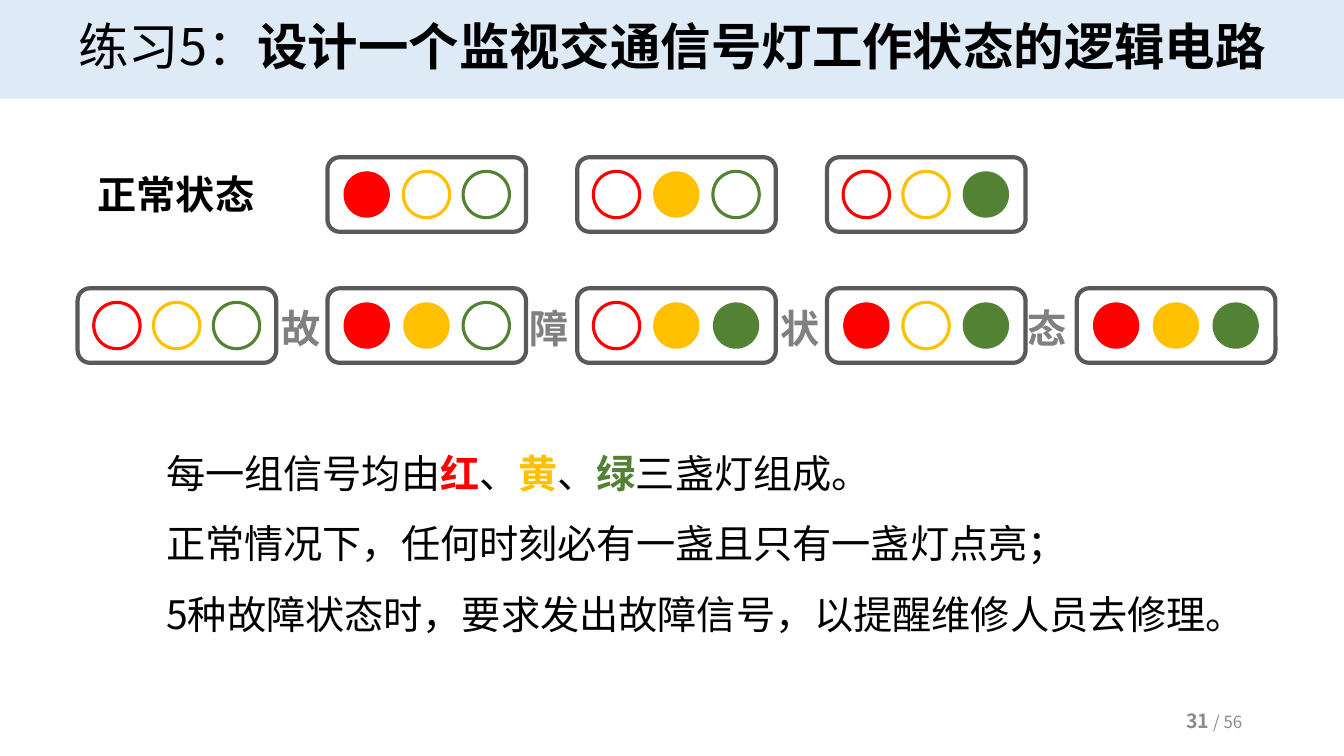
from lxml.etree import SubElement
from pptx import Presentation
from pptx.dml.color import RGBColor
from pptx.enum.shapes import MSO_SHAPE
from pptx.enum.text import MSO_ANCHOR, MSO_AUTO_SIZE, PP_ALIGN
from pptx.oxml.ns import qn
from pptx.util import Inches, Pt

FONT = "Noto Sans CJK SC"
RED, YELLOW, GREEN = LAMPS = ("FF0000", "FFC000", "548235")
BLACK, GRAY, FRAME = "000000", "808080", "595959"
COLUMN_LEFT, COLUMN_STEP = 0.77, 2.4775
NORMAL_TOP, FAULT_TOP = 1.56, 2.86
NORMAL_STATES = ["100", "010", "001"]
FAULT_STATES = ["000", "110", "011", "101", "111"]


def rgb(hex_color):
    """Turn a hex string into a colour."""
    return RGBColor.from_string(hex_color)


def add_shape(shapes, kind, box, fill=None, line=None, width=0):
    """Add a preset shape with a plain fill and outline."""
    sp = shapes.add_shape(kind, *map(Inches, box))
    sp.shadow.inherit = False
    if fill:
        sp.fill.solid()
        sp.fill.fore_color.rgb = rgb(fill)
    else:
        sp.fill.background()
    if line:
        sp.line.color.rgb = rgb(line)
        sp.line.width = Pt(width)
    else:
        sp.line.fill.background()
    return sp


def add_run(p, text, size=28, color=BLACK, bold=False):
    """Add a run in the slide font for Latin and Chinese text."""
    r = p.add_run()
    r.text = text
    r.font.name = FONT
    r.font.size = Pt(size)
    r.font.bold = bold
    r.font.color.rgb = rgb(color)
    SubElement(r.font._element, qn("a:ea"), typeface=FONT)


def fill_text(tf, paragraphs, align=PP_ALIGN.LEFT, spacing=1.0,
              anchor=MSO_ANCHOR.TOP, wrap=True):
    """Write paragraphs given as lists of (text, format) runs."""
    tf.word_wrap = wrap
    tf.vertical_anchor = anchor
    tf.auto_size = MSO_AUTO_SIZE.NONE
    for i, runs in enumerate(paragraphs):
        p = tf.add_paragraph() if i else tf.paragraphs[0]
        p.alignment = align
        p.line_spacing = spacing
        for text, style in runs:
            add_run(p, text, **style)


def add_text(s, box, paragraphs, **layout):
    """Add a text box."""
    sp = s.shapes.add_textbox(*map(Inches, box))
    fill_text(sp.text_frame, paragraphs, **layout)


def add_signal(s, column, top, state):
    """Add a group of three lamps, lit where the state has a 1."""
    left = COLUMN_LEFT + column * COLUMN_STEP
    grp = s.shapes.add_group_shape()
    add_shape(grp.shapes, MSO_SHAPE.ROUNDED_RECTANGLE,
              (left, top, 1.97, 0.74), line=FRAME, width=3)
    for i, (color, lit) in enumerate(zip(LAMPS, state)):
        box = (left + 0.16 + i * 0.593, top + 0.14, 0.46, 0.46)
        if lit == "1":
            add_shape(grp.shapes, MSO_SHAPE.OVAL, box, fill=color)
        else:
            add_shape(grp.shapes, MSO_SHAPE.OVAL, box, "FFFFFF", color, 2.25)


def main():
    """Build the traffic light exercise slide."""
    prs = Presentation()
    prs.slide_width, prs.slide_height = Inches(13.33), Inches(7.5)
    s = prs.slides.add_slide(prs.slide_layouts[6])

    title = add_shape(s.shapes, MSO_SHAPE.RECTANGLE, (0, 0, 13.33, 0.98), "DEEBF7")
    fill_text(title.text_frame,
              [[("练习5：", dict(size=36)),
                ("设计一个监视交通信号灯工作状态的逻辑电路", dict(size=36, bold=True))]],
              align=PP_ALIGN.CENTER, spacing=0.9, anchor=MSO_ANCHOR.MIDDLE)

    add_text(s, (1.55, 4.17, 11.05, 2.15), [
        [("每一组信号均由", {}),
         ("红", dict(color=RED, bold=True)), ("、", {}),
         ("黄", dict(color=YELLOW, bold=True)), ("、", {}),
         ("绿", dict(color=GREEN, bold=True)), ("三盏灯组成。", {})],
        [("正常情况下，任何时刻必有一盏且只有一盏灯点亮；", {})],
        [("5种故障状态时，要求发出故障信号，以提醒维修人员去修理。", {})],
    ], spacing=1.5)

    for column, state in enumerate(NORMAL_STATES, start=1):
        add_signal(s, column, NORMAL_TOP, state)
    for column, state in enumerate(FAULT_STATES):
        add_signal(s, column, FAULT_TOP, state)

    add_text(s, (0.87, 1.64, 1.77, 0.57),
             [[("正常状态", dict(bold=True))]], wrap=False)
    for char, left in zip("故障状态", (2.69, 5.15, 7.64, 10.09)):
        add_text(s, (left, 2.97, 0.59, 0.57),
                 [[(char, dict(color=GRAY, bold=True))]], wrap=False)

    add_text(s, (9.42, 6.95, 3, 0.4),
             [[("31", dict(size=14, color="8C8C8C", bold=True)),
               (" / 56", dict(size=12, color="8C8C8C"))]],
             align=PP_ALIGN.RIGHT, anchor=MSO_ANCHOR.MIDDLE)
    prs.save("out.pptx")


if __name__ == "__main__":
    main()
